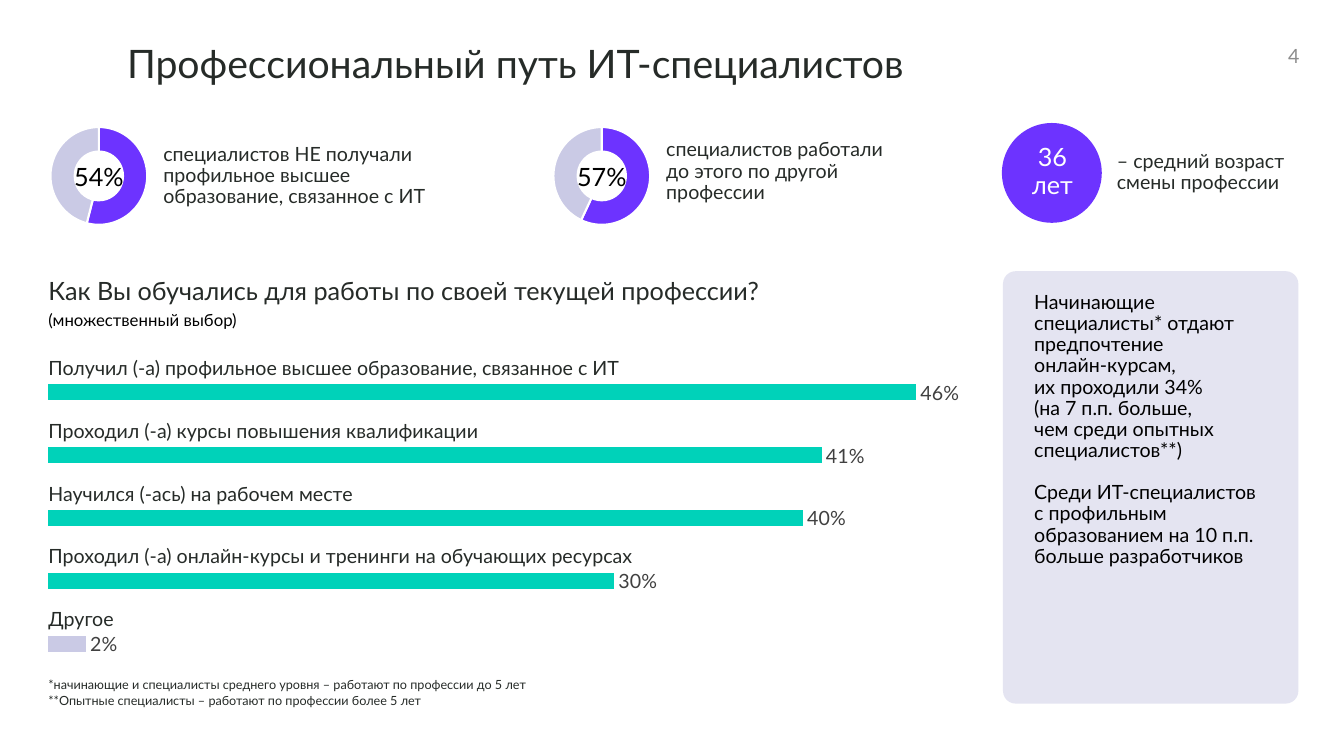
from lxml import etree
from pptx import Presentation, oxml
from pptx import util as u
from pptx.chart.data import CategoryChartData
from pptx.dml.color import RGBColor
from pptx.enum import chart as charts
from pptx.enum import shapes, text
from pptx.oxml import ns

WIDTH, HEIGHT = 13.33, 7.5
INK, BLACK, WHITE = "262B28", "000000", "FFFFFF"
VIOLET, LILAC, TEAL = "6D33FF", "CACAE5", "00D2B9"
MARGIN = 3.6
DONUT_SIZE = 7.35, 13.2
ANSWER_TOP, ANSWER_STEP = 47.47, 8.29
ANSWERS = [
    ("Получил (-а) профильное высшее образование, связанное с ИТ", 0.46),
    ("Проходил (-а) курсы повышения квалификации", 0.41),
    ("Научился (-ась) на рабочем месте", 0.40),
    ("Проходил (-а) онлайн-курсы и тренинги на обучающих ресурсах", 0.30),
    ("Другое", 0.02),
]
ADVICE = [
    "Начинающие специалисты* отдают предпочтение\nонлайн-курсам,\nих проходили 34%\n"
    "(на 7 п.п. больше,\nчем среди опытных специалистов**)",
    "Среди ИТ-специалистов\nс профильным образованием на 10 п.п. больше разработчиков",
]
FOOTNOTES = [
    "*начинающие и специалисты среднего уровня – работают по профессии до 5 лет",
    "**Опытные специалисты – работают по профессии более 5 лет",
]


def color(value):
    """Turn a hex string into a colour."""
    return RGBColor.from_string(value)


def area(left, top, width, height):
    """Turn percentages of the slide into left, top, width and height."""
    return (u.Inches(left * WIDTH / 100), u.Inches(top * HEIGHT / 100),
            u.Inches(width * WIDTH / 100), u.Inches(height * HEIGHT / 100))


def assign(target, values):
    """Set each named attribute of the target."""
    for name, value in values.items():
        setattr(target, name, value)


def style_font(font, size, tint, face="Lato"):
    """Give a font its face, size and colour."""
    assign(font, {"name": face, "size": u.Pt(size)})
    font.color.rgb = color(tint)


def fill_frame(frame, paragraphs, size, tint=INK, align="LEFT", anchor="TOP",
               spacing=0.9, gap=0):
    """Write styled paragraphs into a frame without insets."""
    assign(frame, {"word_wrap": True, "auto_size": text.MSO_AUTO_SIZE.NONE,
                   "vertical_anchor": text.MSO_ANCHOR[anchor],
                   "margin_left": 0, "margin_right": 0,
                   "margin_top": 0, "margin_bottom": 0})
    for index, words in enumerate(paragraphs):
        para = frame.add_paragraph() if index else frame.paragraphs[0]
        assign(para, {"text": words, "alignment": text.PP_ALIGN[align],
                      "line_spacing": spacing, "space_before": u.Pt(gap if index else 0)})
        for span in para.runs:
            style_font(span.font, size, tint)


def add_text(page, place, paragraphs, size, **styles):
    """Add a text box."""
    box = page.shapes.add_textbox(*area(*place))
    fill_frame(box.text_frame, paragraphs, size, **styles)


def add_title(page, words):
    """Move and format the title placeholder."""
    title = page.shapes.title
    assign(title, dict(zip(("left", "top", "width", "height"), area(9.45, 5.87, 65, 5.6))))
    fill_frame(title.text_frame, [words], 28, anchor="MIDDLE")


def add_panel(page, kind, place, tint):
    """Add a filled shape without outline or shadow."""
    panel = page.shapes.add_shape(shapes.MSO_SHAPE[kind], *area(*place))
    panel.shadow.inherit = False
    panel.fill.solid()
    panel.fill.fore_color.rgb = color(tint)
    panel.line.fill.background()
    return panel


def add_chart(page, kind, place, values, tints):
    """Add a one-series chart that fills its frame, with a colour per point."""
    data = CategoryChartData()
    data.categories = [str(number + 1) for number in range(len(values))]
    data.add_series("Series 1", values)
    chart = page.shapes.add_chart(charts.XL_CHART_TYPE[kind], *area(*place), data).chart
    assign(chart, {"has_legend": False, "has_title": False})
    style_font(chart.font, 10, BLACK, "Calibri")
    plot_area = chart.plots[0]._element.getparent()
    for layout in plot_area.findall(ns.qn("c:layout")):
        plot_area.remove(layout)
    layout = oxml.parse_xml(f'<c:layout {ns.nsdecls("c")}><c:manualLayout/></c:layout>')
    for tag, value in {"layoutTarget": "inner", "xMode": "edge", "yMode": "edge",
                       "x": "0", "y": "0", "w": "1", "h": "1"}.items():
        etree.SubElement(layout[0], ns.qn(f"c:{tag}")).set("val", value)
    plot_area.insert(0, layout)
    for index, tint in enumerate(tints):
        fill = chart.plots[0].series[0].points[index].format.fill
        fill.solid()
        fill.fore_color.rgb = color(tint)
    return chart


def add_donut(page, left, share, words, top, width):
    """Add a doughnut with its share in the hole and words beside it."""
    chart = add_chart(page, "DOUGHNUT", (left, 16.67, *DONUT_SIZE),
                      (share, 100 - share), (VIOLET, LILAC))
    plot = chart.plots[0]
    plot.has_data_labels = False
    for index in range(2):
        line = plot.series[0].points[index].format.line
        line.color.rgb = color(WHITE)
        line.width = u.Pt(1.5)
    add_text(page, (left + 1.5, 21.73, 4.35, 3.6), [f"{share}%"], 18,
             tint=BLACK, align="CENTER")
    add_text(page, (left + 8.47, top, width, 8.4), [words], 14)


def add_answers(page):
    """Add the bar chart of answers and a heading above each bar."""
    values = [value for _, value in reversed(ANSWERS)]
    chart = add_chart(page, "BAR_CLUSTERED", (MARGIN, 47.73, 70.2, 41.6), values,
                      [LILAC] + [TEAL] * (len(values) - 1))
    assign(chart.value_axis, {"minimum_scale": 0, "maximum_scale": 0.5,
                              "has_major_gridlines": False, "visible": False})
    chart.category_axis.visible = False
    plot = chart.plots[0]
    assign(plot, {"gap_width": 300, "vary_by_categories": False, "has_data_labels": True})
    labels = plot.data_labels
    assign(labels, {"show_value": True, "number_format": "0%", "number_format_is_linked": False,
                    "position": charts.XL_LABEL_POSITION.OUTSIDE_END})
    style_font(labels.font, 14, "404040")
    for row, (answer, _) in enumerate(ANSWERS):
        add_text(page, (MARGIN, ANSWER_TOP + row * ANSWER_STEP, 47.3, 2.8), [answer], 14)


def add_age(page):
    """Add the average age in a circle and its caption."""
    add_panel(page, "OVAL", (74.55, 16.27, 7.43, 13.2), VIOLET)
    add_text(page, (76.4, 19.2, 3.82, 7.2), ["36\nлет"], 18, tint=WHITE, align="CENTER")
    add_text(page, (83.1, 20, 13.43, 5.6), ["– средний возраст\nсмены профессии"], 14)


def add_advice(page):
    """Add the translucent rounded panel with its findings."""
    panel = add_panel(page, "ROUNDED_RECTANGLE", (74.63, 35.87, 21.98, 57.2), LILAC)
    panel.adjustments[0] = 0.043
    tint = panel.fill._xPr.find(".//" + ns.qn("a:srgbClr"))
    etree.SubElement(tint, ns.qn("a:alpha")).set("val", "50000")
    add_text(page, (76.95, 38.67, 18.23, 36.4), ADVICE, 14, tint=BLACK, gap=15)


def main():
    """Build and save the slide."""
    deck = Presentation()
    assign(deck, {"slide_width": u.Inches(WIDTH), "slide_height": u.Inches(HEIGHT)})
    page = deck.slides.add_slide(deck.slide_layouts[5])
    add_title(page, "Профессиональный путь ИТ-специалистов")
    add_text(page, (92.5, 5.6, 4.2, 3.6), ["4"], 14, tint="8C8C8C", align="RIGHT",
             anchor="MIDDLE", spacing=1.0)
    add_donut(page, 3.68, 54, "специалистов НЕ получали профильное высшее образование, "
              "связанное с ИТ", 19.07, 21.45)
    add_donut(page, 41.1, 57, "специалистов работали\nдо этого по другой профессии",
              18.53, 17.48)
    add_age(page)
    add_text(page, (MARGIN, 36.93, 60.15, 3.6),
             ["Как Вы обучались для работы по своей текущей профессии?"], 18)
    add_text(page, (MARGIN, 41.33, 21.45, 2.4), ["(множественный выбор)"], 12, tint=BLACK)
    add_answers(page)
    add_advice(page)
    add_text(page, (MARGIN, 89.6, 47.25, 4), FOOTNOTES, 9, spacing=1.0)
    deck.save("out.pptx")


if __name__ == "__main__":
    main()
